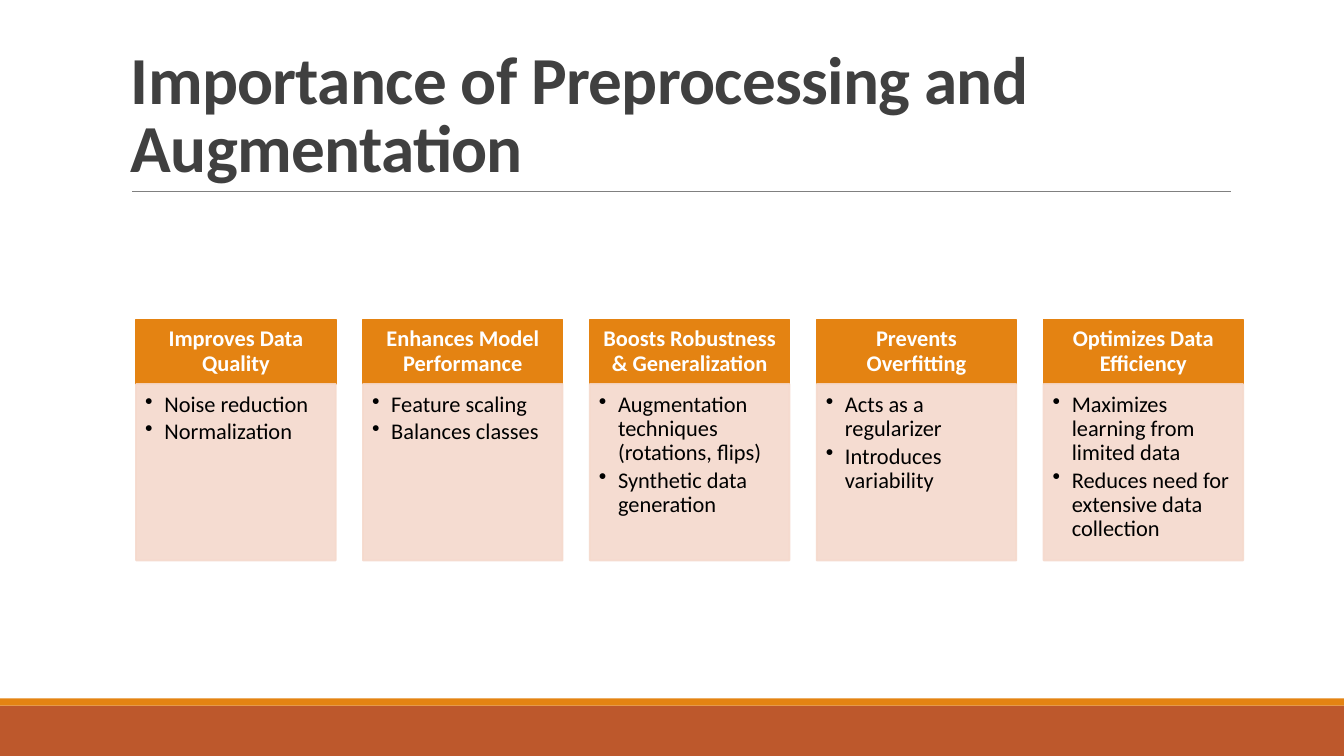
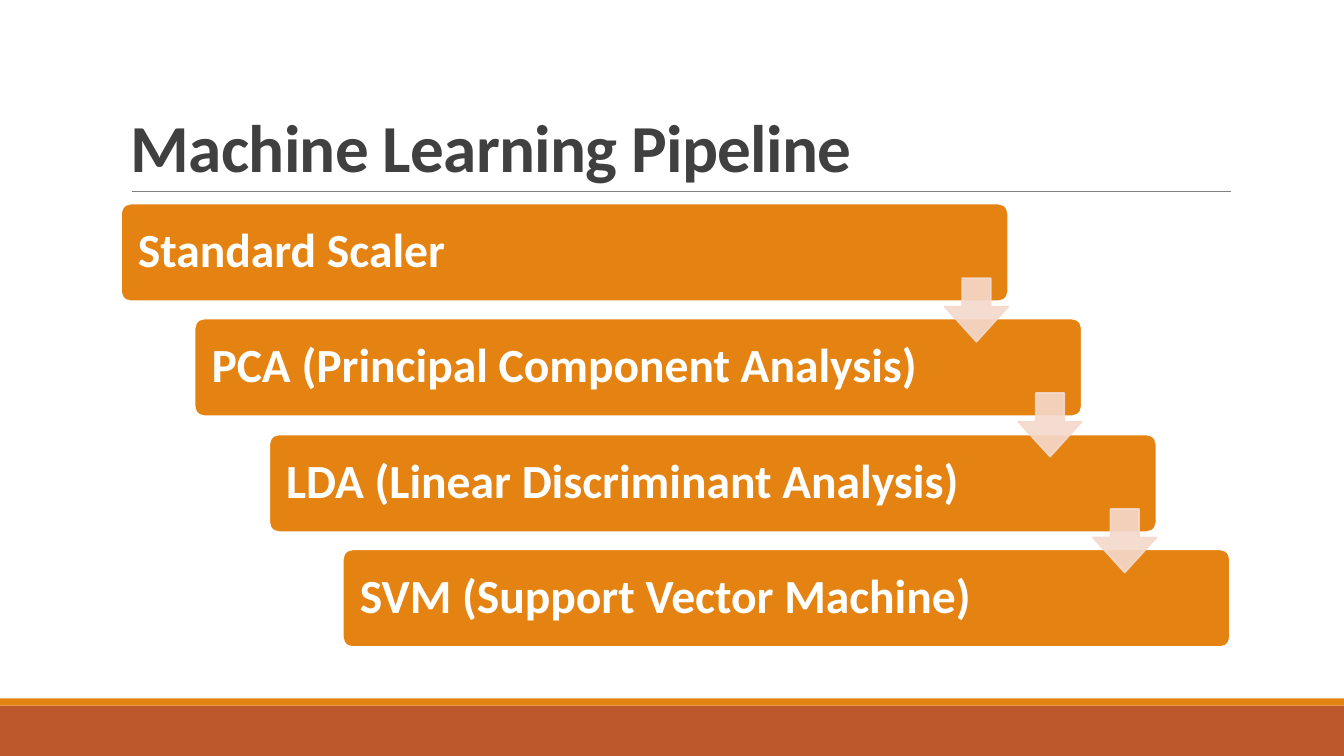
from dataclasses import dataclass

from pptx import Presentation
from pptx.dml.color import RGBColor
from pptx.enum.shapes import MSO_CONNECTOR, MSO_SHAPE
from pptx.enum.text import MSO_ANCHOR, PP_ALIGN
from pptx.oxml.ns import qn
from pptx.oxml.xmlchemy import OxmlElement
from pptx.util import Emu, Pt

PX = 9144  # 100 px to the inch
PAGE_WIDTH, PAGE_HEIGHT = 1333, 750
FONT = "Calibri"

ORANGE = RGBColor(0xE4, 0x83, 0x12)
RUST = RGBColor(0xBD, 0x58, 0x2C)
BLUSH = RGBColor(0xF5, 0xD9, 0xCC)
CHARCOAL = RGBColor(0x40, 0x40, 0x40)
GRAY = RGBColor(0x80, 0x80, 0x80)
WHITE = RGBColor(0xFF, 0xFF, 0xFF)
BLACK = RGBColor(0x00, 0x00, 0x00)


@dataclass(frozen=True)
class Box:
    left: int
    top: int
    width: int
    height: int

    def emu(self):
        return [px(n) for n in (self.left, self.top, self.width, self.height)]


@dataclass(frozen=True)
class Card:
    heading: str
    points: tuple[str, ...]


CARDS = (
    Card("Improves Data Quality", ("Noise reduction", "Normalization")),
    Card("Enhances Model Performance", ("Feature scaling", "Balances classes")),
    Card("Boosts Robustness & Generalization",
         ("Augmentation techniques (rotations, flips)", "Synthetic data generation")),
    Card("Prevents Overfitting", ("Acts as a regularizer", "Introduces variability")),
    Card("Optimizes Data Efficiency",
         ("Maximizes learning from limited data",
          "Reduces need for extensive data collection")),
)
STEPS = (
    "Standard Scaler",
    "PCA (Principal Component Analysis)",
    "LDA (Linear Discriminant Analysis)",
    "SVM (Support Vector Machine)",
)

TITLE = Box(120, 31, 1100, 159)
CARD_LEFT, CARD_PITCH, CARD_WIDTH = 135, 225, 198
HEADING_TOP, HEADING_HEIGHT, BODY_HEIGHT = 317, 64, 175
FIRST_STEP = Box(120, 202, 880, 97)
LAST_STEP_LEFT, LAST_STEP_TOP = 340, 545
ARROW_SIZE, ARROW_DROP = 63, 74


def px(length: int) -> Emu:
    return Emu(length * PX)


def add_block(page, kind, box: Box, fill: RGBColor, line: RGBColor | None = None,
              opacity: int = 100, adjustments: tuple[float, ...] = ()):
    """Add a flat preset shape; opacity, in percent, covers fill and line."""
    shape = page.shapes.add_shape(kind, *box.emu())
    shape.shadow.inherit = False
    for index, value in enumerate(adjustments):
        shape.adjustments[index] = value
    shape.fill.solid()
    shape.fill.fore_color.rgb = fill
    if line is None:
        shape.line.fill.background()
    else:
        shape.line.color.rgb = line
        shape.line.width = Pt(1.25)
    if opacity < 100:
        for color in shape._element.spPr.iter(qn("a:srgbClr")):
            alpha = OxmlElement("a:alpha")
            alpha.set("val", str(opacity * 1000))
            color.append(alpha)
    return shape


def write(shape, *lines: str, size: int, color: RGBColor, bold: bool = False,
          align=PP_ALIGN.LEFT, anchor=MSO_ANCHOR.MIDDLE,
          insets: tuple[int, int, int, int] = (10, 5, 10, 5),
          line_spacing: float = 0.9, space_after: float = 0,
          tracking: int = 0, bullet_indent: int = 0) -> None:
    """Fill a shape with one paragraph per line; tracking is in 1/100 pt."""
    frame = shape.text_frame
    frame.word_wrap = True
    frame.vertical_anchor = anchor
    (frame.margin_left, frame.margin_top,
     frame.margin_right, frame.margin_bottom) = [px(inset) for inset in insets]
    for index, line in enumerate(lines):
        para = frame.add_paragraph() if index else frame.paragraphs[0]
        para.alignment = align
        para.line_spacing = line_spacing
        para.space_after = Pt(space_after)
        if bullet_indent:
            add_bullet(para, bullet_indent)
        span = para.add_run()
        span.text = line
        span.font.name = FONT
        span.font.size = Pt(size)
        span.font.bold = bold
        span.font.color.rgb = color
        if tracking:
            span._r.get_or_add_rPr().set("spc", str(tracking))


def add_bullet(para, indent: int) -> None:
    properties = para._p.get_or_add_pPr()
    properties.set("marL", str(px(indent)))
    properties.set("indent", str(-px(indent)))
    bullet = OxmlElement("a:buChar")
    bullet.set("char", "•")
    properties.append(bullet)


def add_page(deck, title: str):
    """Add a page with the shared bands, title and rule."""
    page = deck.slides.add_slide(deck.slide_layouts[6])
    add_block(page, MSO_SHAPE.RECTANGLE, Box(0, 700, PAGE_WIDTH, 50), RUST)
    add_block(page, MSO_SHAPE.RECTANGLE, Box(0, 693, PAGE_WIDTH, 7), ORANGE)
    rule = page.shapes.add_connector(
        MSO_CONNECTOR.STRAIGHT, px(131), px(190), px(1221), px(190))
    rule.line.color.rgb = GRAY
    rule.line.width = Pt(0.5)
    rule._element.spPr.append(OxmlElement("a:effectLst"))
    write(page.shapes.add_textbox(*TITLE.emu()), title, size=48, color=CHARCOAL,
          bold=True, anchor=MSO_ANCHOR.BOTTOM, line_spacing=0.85, tracking=-50)
    return page


def add_card(page, card: Card, left: int) -> None:
    heading = add_block(page, MSO_SHAPE.RECTANGLE,
                        Box(left, HEADING_TOP, CARD_WIDTH, HEADING_HEIGHT),
                        ORANGE, ORANGE)
    write(heading, card.heading, size=16, color=WHITE, bold=True,
          align=PP_ALIGN.CENTER, insets=(12, 7, 12, 7))
    body = add_block(page, MSO_SHAPE.RECTANGLE,
                     Box(left, HEADING_TOP + HEADING_HEIGHT, CARD_WIDTH, BODY_HEIGHT),
                     BLUSH, BLUSH, opacity=90)
    write(body, *card.points, size=16, color=BLACK, anchor=MSO_ANCHOR.TOP,
          insets=(9, 9, 12, 14), space_after=2.4, bullet_indent=19)


def step_box(index: int) -> Box:
    """Place a step evenly between the first and the last."""
    share = index / (len(STEPS) - 1)
    first = FIRST_STEP
    return Box(first.left + round(share * (LAST_STEP_LEFT - first.left)),
               first.top + round(share * (LAST_STEP_TOP - first.top)),
               first.width, first.height)


def add_pipeline(page) -> None:
    boxes = [step_box(index) for index in range(len(STEPS))]
    for step, box in zip(STEPS, boxes):
        block = add_block(page, MSO_SHAPE.ROUNDED_RECTANGLE, box, ORANGE, WHITE,
                          adjustments=(0.1,))
        write(block, step, size=34, color=WHITE, bold=True, insets=(14, 14, 14, 14))
    for box in boxes[:-1]:
        arrow = Box(box.left + box.width - ARROW_SIZE, box.top + ARROW_DROP,
                    ARROW_SIZE, ARROW_SIZE)
        add_block(page, MSO_SHAPE.DOWN_ARROW, arrow, BLUSH, BLUSH, opacity=90,
                  adjustments=(0.45, 0.55))


def main() -> None:
    deck = Presentation()
    deck.slide_width, deck.slide_height = px(PAGE_WIDTH), px(PAGE_HEIGHT)

    importance = add_page(deck, "Importance of Preprocessing and Augmentation")
    for index, card in enumerate(CARDS):
        add_card(importance, card, CARD_LEFT + index * CARD_PITCH)

    add_pipeline(add_page(deck, "Machine Learning Pipeline"))
    deck.save("out.pptx")


if __name__ == "__main__":
    main()
